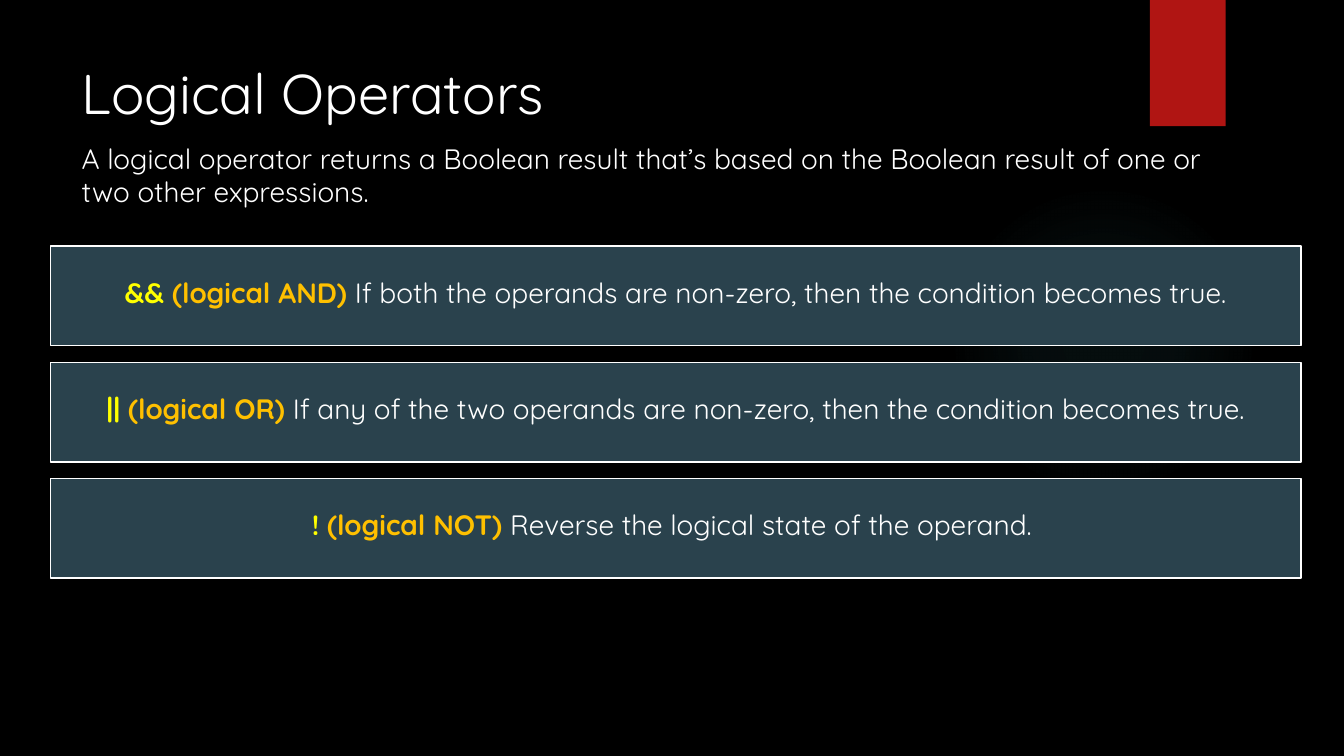
from dataclasses import dataclass

from lxml.etree import SubElement
from pptx import Presentation
from pptx.dml.color import RGBColor
from pptx.enum.shapes import MSO_SHAPE
from pptx.enum.text import MSO_ANCHOR, MSO_AUTO_SIZE, PP_ALIGN
from pptx.oxml.ns import qn
from pptx.shapes.autoshape import Shape
from pptx.slide import Slide
from pptx.util import Cm, Pt


@dataclass(frozen=True)
class Theme:
    font: str = "Quicksand"
    back: str = "000000"
    text: str = "FFFFFF"
    sign: str = "FFFF00"
    name: str = "FFC000"
    bar: str = "2A424D"
    tab: str = "B01513"
    glow: str = "50B9C1"
    head: int = 40
    body: int = 20


@dataclass(frozen=True)
class Box:
    left: float
    top: float
    width: float
    height: float

    def place(self) -> list[Cm]:
        return [Cm(n) for n in (self.left, self.top, self.width, self.height)]


@dataclass(frozen=True)
class Part:
    text: str
    color: str
    size: int
    bold: bool = False


@dataclass(frozen=True)
class Rule:
    sign: str
    name: str
    note: str


THEME = Theme()
TAB = Box(28.98, 0, 1.91, 3.18)
GLOW = Box(23.9, 4.65, 7.82, 7.82)
TITLE = Box(1.8, 1.27, 26.14, 2.11)
INTRO = Box(1.8, 3.43, 29.69, 2.44)
BAR_TOP, BAR_STEP = 6.2, 2.93
NOTE_DROP = 0.61
RULES = [
    Rule("&& ", "(logical AND) ",
         "If both the operands are non-zero, then the condition becomes true."),
    Rule("|| ", "(logical OR) ",
         "If any of the two operands are non-zero, then the condition becomes true."),
    Rule("! ", "(logical NOT) ", "Reverse the logical state of the operand. "),
]


def add_block(slide: Slide, kind: MSO_SHAPE, box: Box, color: str) -> Shape:
    shape = slide.shapes.add_shape(kind, *box.place())
    shape.shadow.inherit = False
    shape.fill.solid()
    shape.fill.fore_color.rgb = RGBColor.from_string(color)
    shape.line.fill.background()
    return shape


def add_glow(slide: Slide, box: Box) -> None:
    shape = add_block(slide, MSO_SHAPE.OVAL, box, THEME.glow)
    solid = shape.element.spPr.find(qn("a:solidFill"))
    grad = solid.makeelement(qn("a:gradFill"), {"rotWithShape": "1"})
    stops = SubElement(grad, qn("a:gsLst"))
    for spot, alpha in ((0, 7), (36, 6), (69, 0)):
        stop = SubElement(stops, qn("a:gs"), pos=str(spot * 1000))
        color = SubElement(stop, qn("a:srgbClr"), val=THEME.glow)
        SubElement(color, qn("a:alpha"), val=str(alpha * 1000))
    shade = SubElement(grad, qn("a:path"))
    shade.set("path", "circle")
    SubElement(shade, qn("a:fillToRect"), l="50000", t="50000", r="50000", b="50000")
    solid.getparent().replace(solid, grad)


def add_bar(slide: Slide, box: Box) -> None:
    shape = add_block(slide, MSO_SHAPE.RECTANGLE, box, THEME.bar)
    shape.line.color.rgb = RGBColor.from_string(THEME.text)
    shape.line.width = Pt(1)


def write(holder: Shape, box: Box, parts: list[Part], align: PP_ALIGN,
          anchor: MSO_ANCHOR = MSO_ANCHOR.TOP) -> None:
    holder.left, holder.top, holder.width, holder.height = box.place()
    frame = holder.text_frame
    frame.word_wrap = True
    frame.auto_size = MSO_AUTO_SIZE.NONE
    frame.vertical_anchor = anchor
    para = frame.paragraphs[0]
    para.alignment = align
    para.line_spacing = 1.0
    para.space_before = Pt(0)
    props = para._p.get_or_add_pPr()
    props.set("marL", "0")
    props.set("indent", "0")
    SubElement(props, qn("a:buNone"))
    for part in parts:
        run = para.add_run()
        run.text = part.text
        run.font.name = THEME.font
        run.font.size = Pt(part.size)
        run.font.bold = part.bold
        run.font.color.rgb = RGBColor.from_string(part.color)
    holder.element.getparent().append(holder.element)


def main() -> None:
    deck = Presentation()
    deck.slide_width, deck.slide_height = Cm(33.87), Cm(19.05)
    slide = deck.slides.add_slide(deck.slide_layouts.get_by_name("Comparison"))
    slide.background.fill.solid()
    slide.background.fill.fore_color.rgb = RGBColor.from_string(THEME.back)
    title, intro, *notes = slide.placeholders

    add_glow(slide, GLOW)
    add_block(slide, MSO_SHAPE.RECTANGLE, TAB, THEME.tab)
    write(title, TITLE, [Part("Logical Operators", THEME.text, THEME.head)],
          PP_ALIGN.LEFT, MSO_ANCHOR.MIDDLE)
    lead = ("A logical operator returns a Boolean result that’s based on "
            "the Boolean result of one or two other expressions.")
    write(intro, INTRO, [Part(lead, THEME.text, THEME.body)], PP_ALIGN.LEFT)

    for row, (rule, note) in enumerate(zip(RULES, notes)):
        top = BAR_TOP + row * BAR_STEP
        add_bar(slide, Box(1.27, top, 31.52, 2.51))
        parts = [
            Part(rule.sign, THEME.sign, THEME.body, True),
            Part(rule.name, THEME.name, THEME.body, True),
            Part(rule.note, THEME.text, THEME.body),
        ]
        write(note, Box(1.37, top + NOTE_DROP, 31.32, 1.27), parts, PP_ALIGN.CENTER)

    deck.save("out.pptx")


main()
